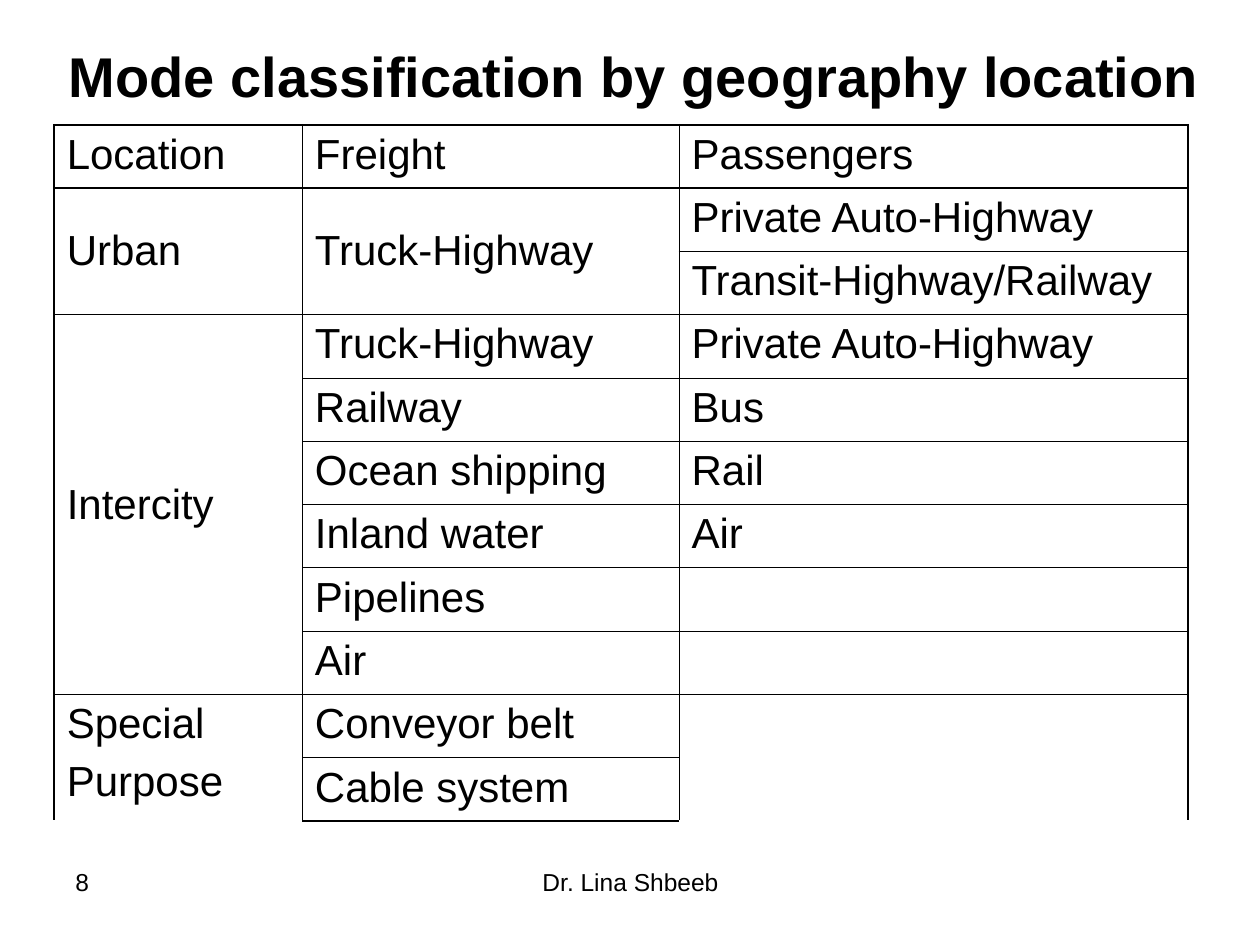
from dataclasses import dataclass

from lxml.etree import SubElement
from pptx import Presentation
from pptx.dml.color import RGBColor
from pptx.enum.text import MSO_ANCHOR, MSO_AUTO_SIZE, PP_ALIGN
from pptx.oxml.ns import qn
from pptx.util import Inches, Pt


@dataclass(frozen=True)
class Theme:
    font: str = "Arial"
    ink: str = "000000"
    title: int = 32
    body: int = 24
    footer: int = 14
    thick: float = 1.08
    thin: float = 0.45


THEME = Theme()

ROWS = [
    ("Location", "Freight", "Passengers"),
    ("Urban", "Truck-Highway", "Private Auto-Highway"),
    ("", "", "Transit-Highway/Railway"),
    ("Intercity", "Truck-Highway", "Private Auto-Highway"),
    ("", "Railway", "Bus"),
    ("", "Ocean shipping", "Rail"),
    ("", "Inland water", "Air"),
    ("", "Pipelines", ""),
    ("", "Air", ""),
    ("Special\nPurpose", "Conveyor belt", ""),
    ("", "Cable system", ""),
]
COL_WIDTHS = (1.97, 2.99, 4.04)
GROUP_EDGES = (0, 1, 3, 9, 11)
MERGES = [(1, 0, 2), (1, 1, 2), (3, 0, 6), (9, 0, 2), (9, 2, 2)]
CENTRED = [(1, 0), (1, 1), (3, 0)]


def write(tf, text, size, bold=False, align=PP_ALIGN.LEFT, space_before=0):
    for i, line in enumerate(text.split("\n")):
        p = tf.add_paragraph() if i else tf.paragraphs[0]
        p.alignment = align
        p.space_before = Pt(space_before if i else 0)
        r = p.add_run()
        r.text = line
        r.font.name = THEME.font
        r.font.size = Pt(size)
        r.font.bold = bold
        r.font.color.rgb = RGBColor.from_string(THEME.ink)


def place(sp, box):
    sp.left, sp.top, sp.width, sp.height = (Inches(v) for v in box)


def add_title(s, box, text):
    sp = s.shapes.title
    place(sp, box)
    tf = sp.text_frame
    tf.word_wrap = True
    tf.auto_size = MSO_AUTO_SIZE.NONE
    tf.vertical_anchor = MSO_ANCHOR.MIDDLE
    write(tf, text, THEME.title, bold=True, align=PP_ALIGN.CENTER)


def add_border(cell, side, width):
    ln = SubElement(cell._tc.get_or_add_tcPr(), qn(f"a:ln{side}"), w=str(Pt(width)))
    fill = SubElement(ln, qn("a:solidFill"))
    SubElement(fill, qn("a:srgbClr"), val=THEME.ink)


def draw_borders(cell, row, col):
    merged = cell.is_merge_origin or cell.is_spanned
    edges = {
        "L": col == 0,
        "R": col == len(COL_WIDTHS) - 1,
        "T": row in GROUP_EDGES,
        "B": row + 1 in GROUP_EDGES,
    }
    for side, outer in edges.items():
        if outer or side in "LR" or not merged:
            add_border(cell, side, THEME.thick if outer else THEME.thin)


def add_mode_table(s, box):
    x, y, w, h = (Inches(v) for v in box)
    table = s.shapes.add_table(len(ROWS), len(COL_WIDTHS), x, y, w, h).table
    table.first_row = False
    table.horz_banding = False
    for column, width in zip(table.columns, COL_WIDTHS):
        column.width = Inches(width)
    for row in table.rows:
        row.height = h // len(ROWS)
    for row, col, span in MERGES:
        table.cell(row, col).merge(table.cell(row + span - 1, col))
    for row, values in enumerate(ROWS):
        for col, text in enumerate(values):
            cell = table.cell(row, col)
            draw_borders(cell, row, col)
            cell.fill.background()
            if (row, col) in CENTRED:
                cell.vertical_anchor = MSO_ANCHOR.MIDDLE
            if text:
                write(cell.text_frame, text, THEME.body, space_before=6)


def add_footer(s, box, text, align=PP_ALIGN.LEFT):
    sp = s.shapes.add_textbox(*(Inches(v) for v in box))
    sp.text_frame.word_wrap = True
    write(sp.text_frame, text, THEME.footer, align=align)


def main():
    prs = Presentation()
    prs.slide_width, prs.slide_height = Inches(10), Inches(7.5)
    s = prs.slides.add_slide(prs.slide_layouts[5])
    add_title(s, (0.43, 0.21, 9.21, 0.77), "Mode classification by geography location")
    add_mode_table(s, (0.43, 0.99, 9, 5.53))
    add_footer(s, (3.42, 6.83, 3.17, 0.52), "Dr. Lina Shbeeb", align=PP_ALIGN.CENTER)
    add_footer(s, (0.5, 6.83, 2.33, 0.52), "8")
    prs.save("out.pptx")


if __name__ == "__main__":
    main()
